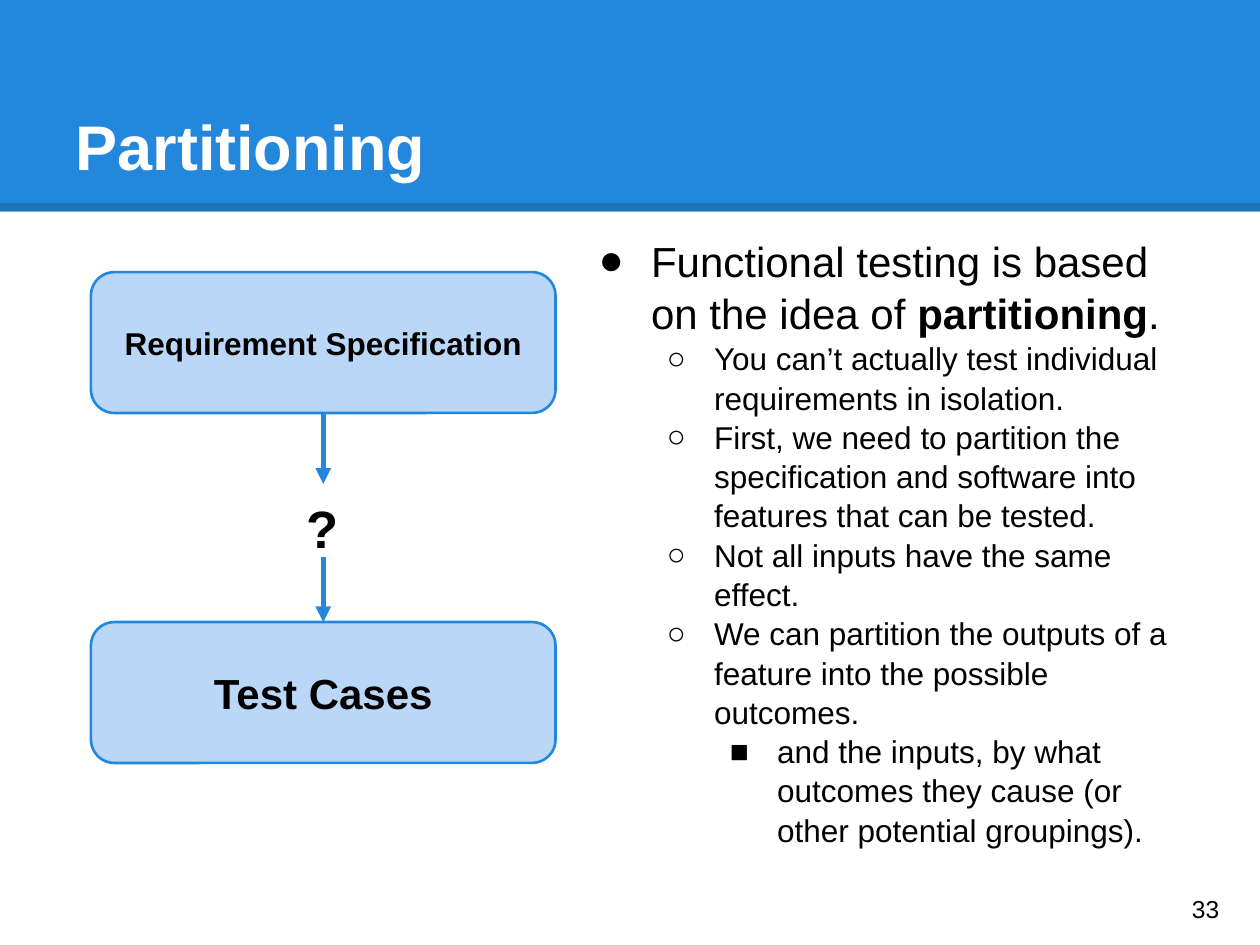
"""Build the Partitioning slide: a two-box flow beside a nested bullet list."""
from lxml import etree
from pptx import Presentation
from pptx import util as u
from pptx.dml.color import RGBColor
from pptx.enum import shapes, text
from pptx.oxml import ns

BLUE = RGBColor(0x23, 0x88, 0xDB)
PALE = RGBColor(0xBB, 0xD7, 0xF8)
BLACK = RGBColor(0, 0, 0)
WHITE = RGBColor(0xFF, 0xFF, 0xFF)

TITLE = "Partitioning"
PAGE_NUMBER = "33"
STEPS = [("Requirement Specification", 18, 155.5), ("Test Cases", 24, 355.5)]
BOX_LEFT, BOX_WIDTH, BOX_HEIGHT = 52, 265.5, 80.5
BULLETS = [
    (0, [("Functional testing is based on the idea of ", False),
         ("partitioning", True), (".", False)]),
    (1, [("You can’t actually test individual requirements in isolation.", False)]),
    (1, [("First, we need to partition the specification and software into "
          "features that can be tested.", False)]),
    (1, [("Not all inputs have the same effect.", False)]),
    (1, [("We can partition the outputs of a feature into the possible outcomes.", False)]),
    (2, [("and the inputs, by what outcomes they cause (or other potential "
          "groupings).", False)]),
]
LEVELS = [("●", 24, -30), ("○", 18, -27), ("■", 18, -27)]


def add_xml(parent, tag, **attributes):
    """Append a drawing element and return it."""
    return etree.SubElement(parent, ns.qn(tag), attributes)


def set_frame(shape, anchor):
    """Give a shape wrapped text with even insets."""
    frame = shape.text_frame
    sides = dict.fromkeys(("margin_left", "margin_top", "margin_right", "margin_bottom"), u.Pt(7.2))
    settings = {"word_wrap": True, "auto_size": text.MSO_AUTO_SIZE.NONE,
                "vertical_anchor": anchor, **sides}
    for name, value in settings.items():
        setattr(frame, name, value)
    return frame


def set_font(font, size, bold=False, color=BLACK):
    """Apply the slide's font to a run or paragraph."""
    for name, value in {"name": "Arial", "size": u.Pt(size), "bold": bold}.items():
        setattr(font, name, value)
    font.color.rgb = color


def write(shape, words, size, anchor, align, bold=False, color=BLACK):
    """Put one formatted paragraph in a shape."""
    paragraph = set_frame(shape, anchor).paragraphs[0]
    paragraph.alignment = align
    run = paragraph.add_run()
    run.text = words
    set_font(run.font, size, bold, color)


def add_line(slide, start, end, color, width):
    """Add a straight line without a shadow."""
    line = slide.shapes.add_connector(
        shapes.MSO_CONNECTOR.STRAIGHT, *(u.Pt(value) for value in (*start, *end)))
    line.line.color.rgb = color
    line.line.width = u.Pt(width)
    add_xml(line.element.spPr, "a:effectLst")
    return line


def add_arrow(slide, start, end):
    """Add a flow arrow with a triangle head."""
    arrow = add_line(slide, start, end, BLUE, 3)
    add_xml(arrow.line._get_or_add_ln(), "a:tailEnd", type="triangle")
    return arrow


def add_shape(slide, kind, left, top, width, height, fill):
    """Add a filled preset shape without a shadow."""
    shape = slide.shapes.add_shape(kind, *(u.Pt(value) for value in (left, top, width, height)))
    shape.shadow.inherit = False
    shape.fill.solid()
    shape.fill.fore_color.rgb = fill
    return shape


def add_textbox(slide, *place):
    """Add a text box at a place in points."""
    return slide.shapes.add_textbox(*(u.Pt(value) for value in place))


def add_header(slide):
    """Draw the band and its lower edge, with the title above them."""
    band = add_shape(slide, shapes.MSO_SHAPE.RECTANGLE, 0, 0, 720, 121, BLUE)
    band.line.fill.background()
    edge = add_line(slide, (0, 118.25), (720, 118.25), BLACK, 4.5)
    color = edge.line._get_or_add_ln().find(".//" + ns.qn("a:srgbClr"))
    add_xml(color, "a:alpha", val="15000")
    title = slide.shapes.title
    title.element.getparent().append(title.element)
    place = {"left": 36, "top": 21.6, "width": 648, "height": 90}
    for name, value in place.items():
        setattr(title, name, u.Pt(value))
    write(title, TITLE, 36, text.MSO_ANCHOR.BOTTOM, text.PP_ALIGN.LEFT, True, WHITE)


def add_flow(slide):
    """Draw the two boxes, the arrows and the question mark between them."""
    boxes = []
    for words, size, top in STEPS:
        box = add_shape(slide, shapes.MSO_SHAPE.ROUNDED_RECTANGLE,
                        BOX_LEFT, top, BOX_WIDTH, BOX_HEIGHT, PALE)
        box.line.color.rgb = BLUE
        box.line.width = u.Pt(1.5)
        write(box, words, size, text.MSO_ANCHOR.MIDDLE, text.PP_ALIGN.CENTER, True)
        boxes.append(box)
    center = BOX_LEFT + BOX_WIDTH / 2
    first_bottom, second_top = STEPS[0][2] + BOX_HEIGHT, STEPS[1][2]
    add_arrow(slide, (center, first_bottom), (center, 276.5)).begin_connect(boxes[0], 2)
    add_arrow(slide, (center, 318.25), (center, second_top)).end_connect(boxes[1], 0)
    question = add_textbox(slide, 161, 276, 47, 40)
    write(question, "?", 30, text.MSO_ANCHOR.TOP, text.PP_ALIGN.CENTER, True)


def add_bullets(slide):
    """Write the nested list."""
    frame = set_frame(add_textbox(slide, 329, 126, 355, 391), text.MSO_ANCHOR.TOP)
    for index, (level, runs) in enumerate(BULLETS):
        paragraph = frame.add_paragraph() if index else frame.paragraphs[0]
        symbol, size, indent = LEVELS[level]
        paragraph.level = level
        paragraph.line_spacing = 1.04
        properties = paragraph._p.get_or_add_pPr()
        properties.set("marL", str(u.Pt(36 * (level + 1))))
        properties.set("indent", str(u.Pt(indent)))
        add_xml(add_xml(properties, "a:buClr"), "a:srgbClr", val=str(BLACK))
        add_xml(properties, "a:buFont", typeface="Arial")
        add_xml(properties, "a:buChar", char=symbol)
        for words, bold in runs:
            run = paragraph.add_run()
            run.text = words
            set_font(run.font, size, bold)


def main():
    """Assemble and save the presentation."""
    presentation = Presentation()
    presentation.slide_width, presentation.slide_height = u.Pt(720), u.Pt(540)
    slide = presentation.slides.add_slide(presentation.slide_layouts[5])
    add_header(slide)
    add_flow(slide)
    add_bullets(slide)
    number = add_textbox(slide, 674, 499, 43, 41)
    write(number, PAGE_NUMBER, 14, text.MSO_ANCHOR.MIDDLE, text.PP_ALIGN.LEFT)
    presentation.save("out.pptx")


if __name__ == "__main__":
    main()
